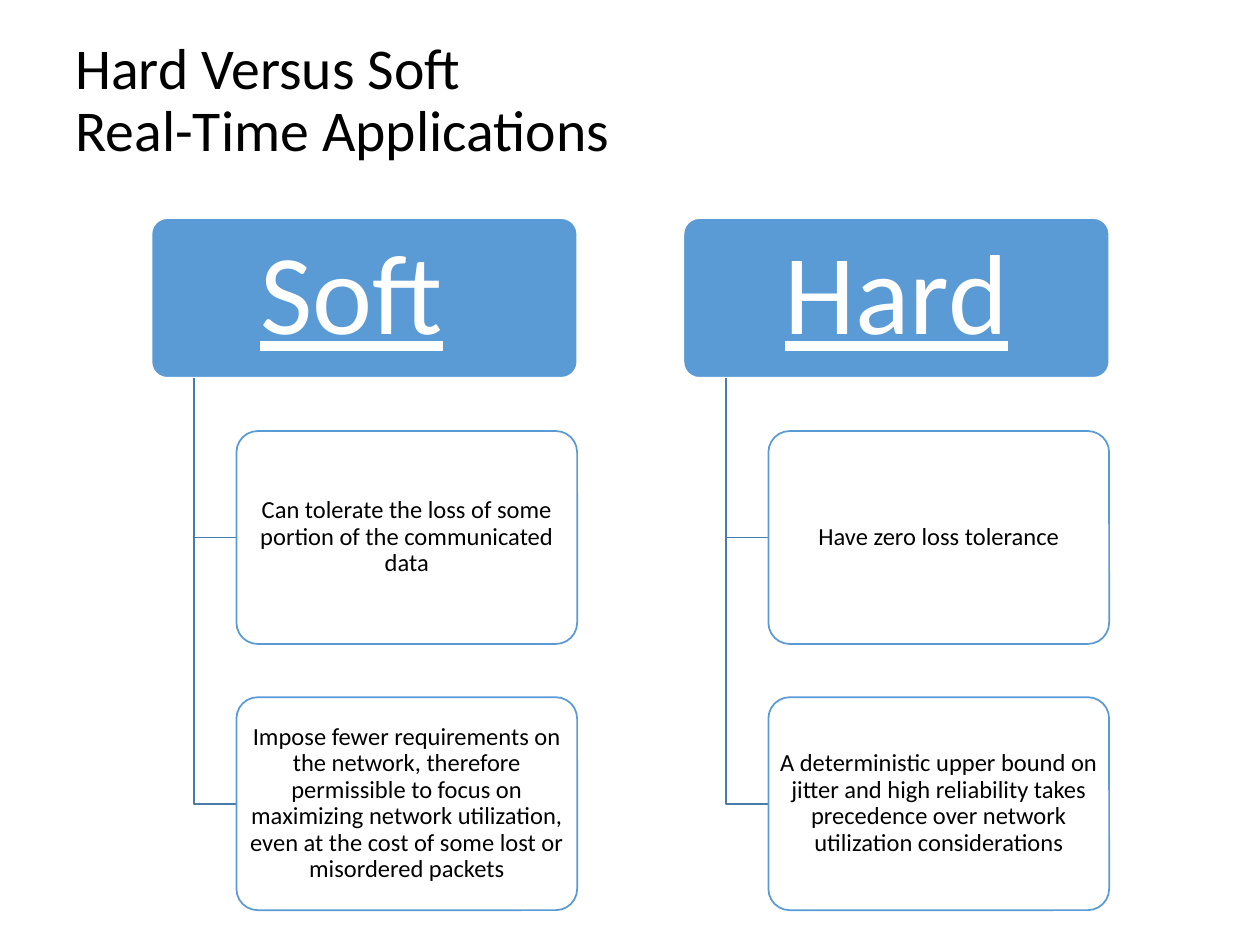
from dataclasses import dataclass

from lxml.etree import SubElement
from pptx import Presentation
from pptx.dml.color import RGBColor
from pptx.enum.shapes import MSO_SHAPE
from pptx.enum.text import MSO_ANCHOR, PP_ALIGN
from pptx.oxml.ns import qn
from pptx.util import Pt

BLUE, EDGE, WHITE, BLACK = "5B9BD5", "497CAB", "FFFFFF", "000000"
TOP, PITCH, STEP = 124.6, 304, 152.1
HEAD_W, HEAD_H, CARD_W, CARD_H = 243.4, 91.3, 194.7, 121.7
CARD_TOP, STEM, INDENT = 246.3, 24.3, 48.6


@dataclass
class Box:
    """A place on the slide, in points."""
    x: float
    y: float
    w: float
    h: float

    def inset(self, dx: float, dy: float) -> "Box":
        """Return the box shrunk on every side."""
        return Box(self.x + dx, self.y + dy, self.w - 2 * dx, self.h - 2 * dy)

    def place(self) -> tuple:
        """Return the four lengths that shapes take."""
        return Pt(self.x), Pt(self.y), Pt(self.w), Pt(self.h)


@dataclass
class Style:
    """The look of a block of text."""
    size: float
    color: str
    align: PP_ALIGN
    pad: tuple[float, float]
    under: bool = False


@dataclass
class Branch:
    """A heading and the cards below it."""
    head: str
    cards: list[str]


TITLE = Style(33, BLACK, PP_ALIGN.LEFT, (7.2, 3.6))
HEAD = Style(65, WHITE, PP_ALIGN.CENTER, (9.75, 6.5), True)
CARD = Style(14, BLACK, PP_ALIGN.CENTER, (2.1, 1.4))

BRANCHES = [
    Branch("Soft ", [
        "Can tolerate the loss of some portion of the communicated data",
        "Impose fewer requirements on the network, therefore permissible to "
        "focus on maximizing network utilization, even at the cost of some "
        "lost or misordered packets",
    ]),
    Branch("Hard", [
        "Have zero loss tolerance",
        "A deterministic upper bound on jitter and high reliability takes "
        "precedence over network utilization considerations",
    ]),
]


def color(code: str) -> RGBColor:
    """Turn a hex string into a colour."""
    return RGBColor.from_string(code)


def add_run(para, text: str, style: Style, under: bool) -> None:
    """Add one run in the given style."""
    run = para.add_run()
    run.text = text
    font = run.font
    font.name, font.size, font.underline = "Calibri", Pt(style.size), under
    font.color.rgb = color(style.color)


def add_text(slide, box: Box, text: str, style: Style) -> None:
    """Add a text box, leaving an end space without underline."""
    frame = slide.shapes.add_textbox(*box.place()).text_frame
    frame.word_wrap = True
    frame.vertical_anchor = MSO_ANCHOR.MIDDLE
    frame.margin_left = frame.margin_right = Pt(style.pad[0])
    frame.margin_top = frame.margin_bottom = Pt(style.pad[1])
    para = frame.paragraphs[0]
    para.alignment, para.line_spacing = style.align, 0.9
    for index, line in enumerate(text.split("\n")):
        if index:
            para.add_line_break()
        word = line.rstrip()
        add_run(para, word, style, style.under)
        if word != line:
            add_run(para, " ", style, False)


def add_panel(slide, box: Box, fill: str, edge: str, alpha: int = 100) -> None:
    """Add a rounded panel."""
    shape = slide.shapes.add_shape(MSO_SHAPE.ROUNDED_RECTANGLE, *box.place())
    shape.adjustments[0] = 0.1
    shape.shadow.inherit = False
    shape.fill.solid()
    shape.fill.fore_color.rgb = color(fill)
    shape.line.color.rgb = color(edge)
    shape.line.width = Pt(1)
    if alpha < 100:
        tint = shape.fill._xPr.find(qn("a:solidFill"))[0]
        SubElement(tint, qn("a:alpha")).set("val", str(alpha * 1000))


def add_elbow(slide, x: float, top: float, end: float, foot: float) -> None:
    """Add a line that goes down and then right."""
    path = slide.shapes.build_freeform(Pt(x), Pt(top))
    path.add_line_segments([(Pt(x), Pt(foot)), (Pt(end), Pt(foot))], close=False)
    shape = path.convert_to_shape()
    shape.shadow.inherit = False
    shape.fill.background()
    shape.line.color.rgb = color(EDGE)
    shape.line.width = Pt(1)


def add_branch(slide, left: float, branch: Branch) -> None:
    """Draw a heading with its linked cards."""
    head = Box(left, TOP, HEAD_W, HEAD_H)
    add_panel(slide, head, BLUE, WHITE)
    add_text(slide, head.inset(2.7, 2.7), branch.head, HEAD)
    for index, text in enumerate(branch.cards):
        card = Box(left + INDENT, CARD_TOP + index * STEP, CARD_W, CARD_H)
        add_elbow(slide, left + STEM, TOP + HEAD_H, card.x, card.y + CARD_H / 2)
        add_panel(slide, card, WHITE, BLUE, 90)
        add_text(slide, card.inset(3.6, 3.6), text, CARD)


def main() -> None:
    """Build and save the slide."""
    deck = Presentation()
    deck.slide_width, deck.slide_height = Pt(720), Pt(540)
    slide = deck.slides.add_slide(deck.slide_layouts[6])
    title = "Hard Versus Soft\nReal-Time Applications"
    add_text(slide, Box(36, 13, 648, 90), title, TITLE)
    for index, branch in enumerate(BRANCHES):
        add_branch(slide, 86.5 + index * PITCH, branch)
    deck.save("out.pptx")


if __name__ == "__main__":
    main()
